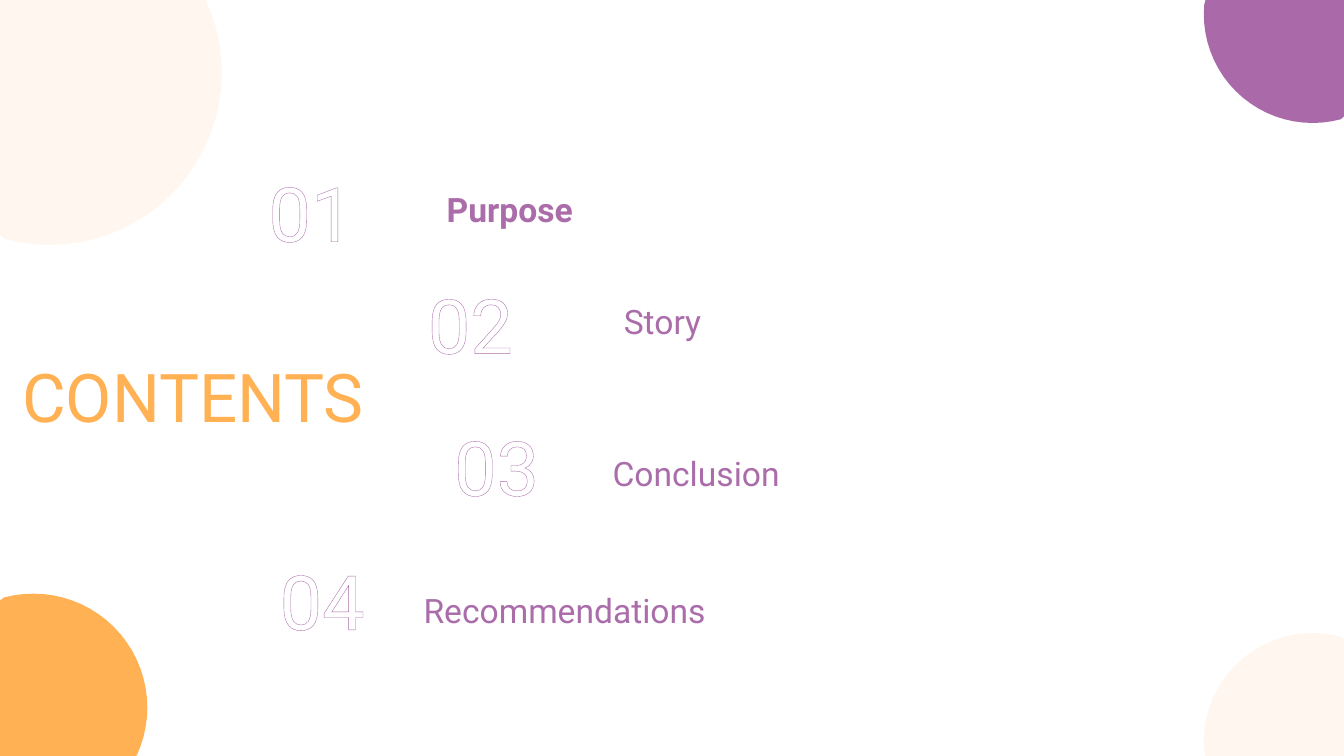
import math
from lxml import etree
from pptx import Presentation, util as u
from pptx.dml.color import RGBColor
from pptx.enum import text
from pptx.oxml import ns

COLORS = {"orange": "FFB153", "purple": "AA6AAA", "label": "AA6DAA",
          "cream": "FFF7EF", "white": "FFFFFF"}
FONT = "Roboto"
HEADING = ("CONTENTS", -5.63, 46.4, 40, 12.13)
NUMBER_SIZE = (13.28, 13.47)
LABEL_HEIGHT = 6.67
ENTRIES = [
    {"label": "Purpose", "label_at": (29.26, 24.27, 17.33), "number_at": (16.5, 21.33), "bold": True},
    {"label": "Story", "label_at": (34.36, 39.2, 29.86), "number_at": (28.36, 36.13), "bold": False},
    {"label": "Conclusion", "label_at": (42.91, 59.2, 17.78), "number_at": (30.31, 54.93), "bold": False},
    {"label": "Recommendations", "label_at": (28.28, 77.33, 27.46), "number_at": (17.33, 72.67), "bold": False},
]
CORNER_DISCS = [
    ("orange", 2.48, 93.6, 8.48),
    ("purple", 97.67, 1.87, 8.1),
    ("cream", 3.68, 9.6, 12.83),
    ("cream", 97.67, 98.13, 8.1),
]
DISC_STEPS = 72

deck = Presentation()
deck.slide_width, deck.slide_height = u.Inches(13.33), u.Inches(7.5)
slide = deck.slides.add_slide(deck.slide_layouts[6])
COLUMN, ROW = deck.slide_width / 100, deck.slide_height / 100


def rgb(color):
    return RGBColor.from_string(COLORS[color])


def disc_points(column, row, radius):
    rim = []
    for step in range(DISC_STEPS):
        angle = math.tau * step / DISC_STEPS
        x = column * COLUMN + radius * COLUMN * math.cos(angle)
        y = row * ROW + radius * COLUMN * math.sin(angle)
        rim.append((round(min(max(x, 0), deck.slide_width)),
                    round(min(max(y, 0), deck.slide_height))))
    rim = list(dict.fromkeys(rim))
    neighbours = zip(rim[-1:] + rim[:-1], rim, rim[1:] + rim[:1])
    return [point for before, point, after in neighbours
            if not any(a == b == c for a, b, c in zip(before, point, after))]


def add_disc(color, column, row, radius):
    points = disc_points(column, row, radius)
    outline = slide.shapes.build_freeform(*points[0])
    outline.add_line_segments(points[1:], close=True)
    disc = outline.convert_to_shape()
    disc.shadow.inherit = False
    disc.fill.solid()
    disc.fill.fore_color.rgb = rgb(color)
    disc.line.fill.background()


def add_words(words, column, row, columns, rows, size, color, bold=False):
    box = slide.shapes.add_textbox(round(column * COLUMN), round(row * ROW),
                                   round(columns * COLUMN), round(rows * ROW))
    frame = box.text_frame
    frame.word_wrap = True
    frame.auto_size = text.MSO_AUTO_SIZE.SHAPE_TO_FIT_TEXT
    frame.text = words
    paragraph = frame.paragraphs[0]
    paragraph.alignment = text.PP_ALIGN.CENTER
    run = paragraph.runs[0]
    run.font.name, run.font.size, run.font.bold = FONT, u.Pt(size), bold
    run.font.color.rgb = rgb(color)
    return run


def outline_run(run, color, points):
    line = etree.Element(ns.qn("a:ln"), w=str(u.Pt(points)))
    fill = etree.SubElement(line, ns.qn("a:solidFill"))
    etree.SubElement(fill, ns.qn("a:srgbClr"), val=COLORS[color])
    run.font._element.insert(0, line)


for disc in CORNER_DISCS:
    add_disc(*disc)

for order, entry in enumerate(ENTRIES, 1):
    add_words(entry["label"], *entry["label_at"], LABEL_HEIGHT, 24, "label", entry["bold"])
    number = add_words(f"{order:02}", *entry["number_at"], *NUMBER_SIZE, 54, "white")
    outline_run(number, "purple", 0.52)

add_words(*HEADING, 48, "orange")

deck.save("out.pptx")
